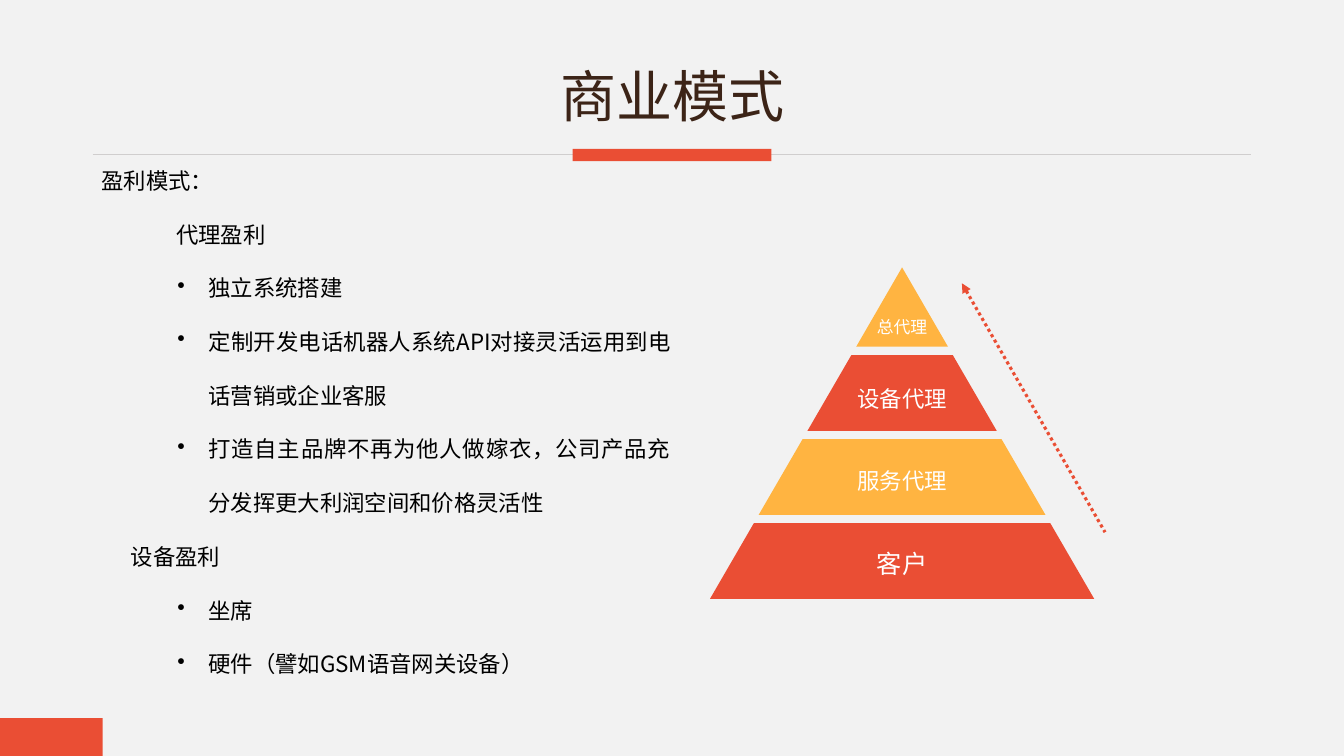
from lxml.etree import SubElement
from pptx import Presentation
from pptx.dml.color import RGBColor
from pptx.enum.dml import MSO_LINE
from pptx.enum.shapes import MSO_CONNECTOR, MSO_SHAPE
from pptx.enum.text import MSO_ANCHOR, PP_ALIGN
from pptx.oxml.ns import qn
from pptx.util import Inches, Pt

COLORS = {"paper": "F2F2F2", "red": "EA4E34", "amber": "FFB441", "rule": "D0CECE",
          "title": "3C2417", "body": "000000", "white": "FFFFFF"}
LATIN, CHINESE = "TeX Gyre Adventor", "Noto Sans CJK TC"


class SlideBuilder:
    """Draws styled elements on one slide, placed in percent of its width and height."""

    def __init__(self, presentation):
        self.width, self.height = presentation.slide_width, presentation.slide_height
        self.slide = presentation.slides.add_slide(presentation.slide_layouts[6])
        self.paint(self.slide.background.fill, "paper")

    def paint(self, fill, color):
        fill.solid()
        fill.fore_color.rgb = RGBColor.from_string(COLORS[color])

    def place(self, *shares):
        sizes = (self.width, self.height) * 2
        return [int(size * share / 100) for size, share in zip(sizes, shares)]

    def style(self, paragraph, size, color, align, spacing=1.0, latin=LATIN):
        paragraph.alignment = align
        paragraph.line_spacing = spacing
        paragraph.font.size = Pt(size)
        paragraph.font.name = latin
        paragraph.font.color.rgb = RGBColor.from_string(COLORS[color])
        defaults = paragraph._p.pPr.find(qn("a:defRPr"))
        SubElement(defaults, qn("a:ea")).set("typeface", CHINESE)

    def shape(self, kind, box, color):
        shape = self.slide.shapes.add_shape(kind, *self.place(*box))
        shape.shadow.inherit = False
        self.paint(shape.fill, color)
        shape.line.fill.background()
        return shape

    def label(self, shape, text, size):
        frame = shape.text_frame
        frame.word_wrap = False
        frame.vertical_anchor = MSO_ANCHOR.MIDDLE
        frame.margin_top = frame.margin_bottom = 0
        frame.text = text
        self.style(frame.paragraphs[0], size, "white", PP_ALIGN.CENTER)

    def text_box(self, box, anchor=MSO_ANCHOR.TOP):
        frame = self.slide.shapes.add_textbox(*self.place(*box)).text_frame
        frame.word_wrap = True
        frame.vertical_anchor = anchor
        return frame

    def title(self, box, text):
        frame = self.text_box(box, MSO_ANCHOR.MIDDLE)
        frame.text = text
        self.style(frame.paragraphs[0], 40, "title", PP_ALIGN.CENTER, 0.9)

    def outline(self, box, items):
        frame = self.text_box(box)
        frame.text = "\n".join(text for text, _ in items)
        for paragraph, (_, indent) in zip(frame.paragraphs, items):
            self.style(paragraph, 16, "body", PP_ALIGN.JUSTIFY, 2.0, CHINESE)
            properties = paragraph._p.pPr
            properties.set("marL", str(Inches(indent or 1.31)))
            properties.set("indent", str(0 if indent else Inches(-0.31)))
            if not indent:
                bullet = properties.makeelement(qn("a:buChar"), {"char": "•"})
                properties.find(qn("a:defRPr")).addprevious(bullet)

    def line(self, ends, color, width, dash=None, arrow=False):
        line = self.slide.shapes.add_connector(MSO_CONNECTOR.STRAIGHT, *self.place(*ends))
        line.line.color.rgb = RGBColor.from_string(COLORS[color])
        line.line.width = Pt(width)
        if dash:
            line.line.dash_style = dash
        if arrow:
            SubElement(line.line._get_or_add_ln(), qn("a:headEnd")).set("type", "triangle")
        SubElement(line._element.spPr, qn("a:effectLst"))

    def pyramid(self, center, tiers):
        for level, (text, size, color) in enumerate(tiers):
            width = 6.83 + 7.25 * level
            height = 10 if level else 10.5
            bottom = 45.87 + 11.11 * level
            kind = MSO_SHAPE.TRAPEZOID if level else MSO_SHAPE.ISOSCELES_TRIANGLE
            tier = self.shape(kind, (center - width / 2, bottom - height, width, height), color)
            if level:
                tier.adjustments[0] = 0.58
            self.label(tier, text, size)


def main():
    presentation = Presentation()
    presentation.slide_width, presentation.slide_height = Inches(13.33), Inches(7.5)
    builder = SlideBuilder(presentation)
    builder.line((6.9, 20.4, 93.1, 20.4), "rule", 1)
    builder.shape(MSO_SHAPE.RECTANGLE, (42.6, 19.7, 14.8, 1.6), "red")
    builder.shape(MSO_SHAPE.RECTANGLE, (0, 95, 7.65, 5), "red")
    builder.title((6.9, 5.33, 86.25, 15.7), "商业模式")
    builder.pyramid(67.12, [("总代理", 12, "amber"), ("设备代理", 16, "red"),
                            ("服务代理", 16, "amber"), ("客户", 18, "red")])
    builder.line((71.57, 37.47, 82.22, 70.4), "red", 2.25, MSO_LINE.ROUND_DOT, True)
    builder.outline((4.95, 17.87, 45.7, 74), [
        ("盈利模式：", 0.25),
        ("代理盈利", 0.99),
        ("独立系统搭建", None),
        ("定制开发电话机器人系统API对接灵活运用到电话营销或企业客服", None),
        ("打造自主品牌不再为他人做嫁衣，公司产品充分发挥更大利润空间和价格灵活性", None),
        ("设备盈利", 0.54),
        ("坐席", None),
        ("硬件（譬如GSM语音网关设备）", None)])
    presentation.save("out.pptx")


if __name__ == "__main__":
    main()
